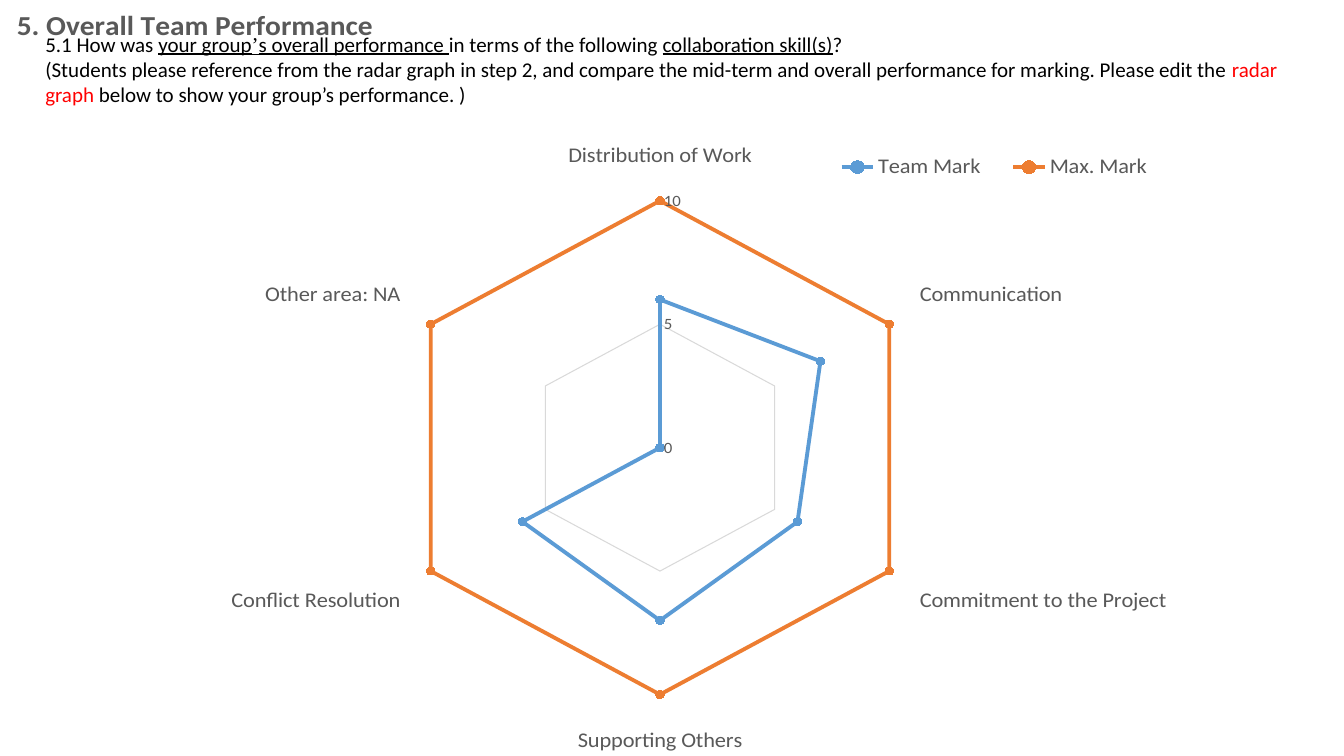
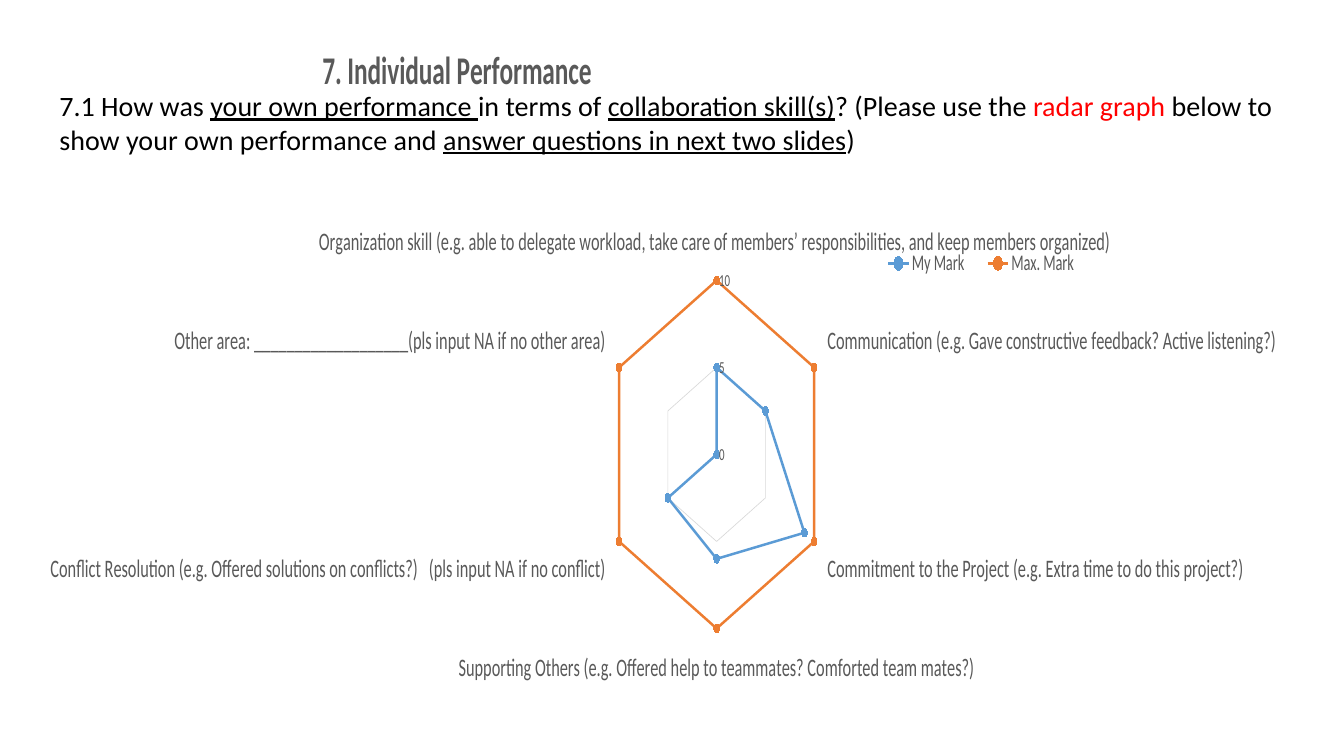
from dataclasses import dataclass

from lxml.etree import SubElement
from pptx import Presentation
from pptx.chart.chart import Chart
from pptx.chart.data import CategoryChartData
from pptx.dml.color import RGBColor
from pptx.enum.chart import XL_CHART_TYPE, XL_LEGEND_POSITION, XL_MARKER_STYLE, XL_TICK_MARK
from pptx.enum.text import MSO_AUTO_SIZE
from pptx.oxml.ns import qn
from pptx.presentation import Presentation as Deck
from pptx.slide import Slide
from pptx.text.text import Font
from pptx.util import Inches, Pt

COLORS = {
    "ink": "000000",
    "alert": "FF0000",
    "label": "595959",
    "grid": "D9D9D9",
    "mark_line": "5B9BD5",
    "mark_point": "559BDB",
    "max_line": "ED7D31",
    "max_point": "F67B28",
}
FONT = "Calibri"
APOSTROPHE_FONT = "Times New Roman"
SLIDE_WIDTH = Inches(13.33)
SLIDE_HEIGHT = Inches(7.5)
SERIES_STYLES = (("mark_line", "mark_point"), ("max_line", "max_point"))
TOP_MARK = 10


@dataclass(frozen=True)
class Area:
    """Percentages of the enclosing slide or chart."""

    left: float
    top: float
    width: float = 0
    height: float = 0

    def on_slide(self) -> tuple[int, int, int, int]:
        return (
            int(SLIDE_WIDTH * self.left / 100),
            int(SLIDE_HEIGHT * self.top / 100),
            int(SLIDE_WIDTH * self.width / 100),
            int(SLIDE_HEIGHT * self.height / 100),
        )


@dataclass(frozen=True)
class Span:
    text: str
    underline: bool = False
    color: str = "ink"
    font: str = FONT


@dataclass(frozen=True)
class Question:
    area: Area
    size: int
    paragraphs: tuple[tuple[Span, ...], ...]


@dataclass(frozen=True)
class Radar:
    area: Area
    title: str
    title_size: int
    title_area: Area
    legend_area: Area
    plot_area: Area
    label_size: int
    mark_name: str
    marks: dict[str, int]


@dataclass(frozen=True)
class Review:
    radar: Radar
    question: Question


REVIEWS = (
    Review(
        Radar(
            area=Area(-0.38, 0, 88.3, 99.6),
            title="5. Overall Team Performance",
            title_size=21,
            title_area=Area(1.4, 0.1),
            legend_area=Area(69.2, 20.3, 30, 7),
            plot_area=Area(32.6, 28.6, 46.9, 70.3),
            label_size=16,
            mark_name="Team Mark",
            marks={
                "Distribution of Work": 6,
                "Communication": 7,
                "Commitment to the Project": 6,
                "Supporting Others": 7,
                "Conflict Resolution": 6,
                "Other area: NA": 0,
            },
        ),
        Question(
            Area(2.63, 3.47, 94.75, 11.47),
            15,
            (
                (
                    Span("5.1 How was "),
                    Span("your group", underline=True),
                    Span("’", underline=True, font=APOSTROPHE_FONT),
                    Span("s overall performance ", underline=True),
                    Span("in terms of the following "),
                    Span("collaboration skill(s)", underline=True),
                    Span("?"),
                ),
                (
                    Span(
                        "(Students please reference from the radar graph in step 2, and compare "
                        "the mid-term and overall performance for marking. Please edit the "
                    ),
                    Span("radar graph", color="alert"),
                    Span(" below to show your group’s performance. )"),
                ),
            ),
        ),
    ),
    Review(
        Radar(
            area=Area(3.75, 3.07, 91.22, 95.73),
            title="7. Individual Performance",
            title_size=28,
            title_area=Area(0, 1.75),
            legend_area=Area(69.6, 29.7, 28.1, 7),
            plot_area=Area(36.1, 35, 28.4, 49.2),
            label_size=18,
            mark_name="My Mark",
            marks={
                "Organization skill (e.g. able to delegate workload, take care of "
                "members’ responsibilities, and keep members organized) ": 5,
                "Communication (e.g. Gave constructive feedback? Active listening?)": 5,
                "Commitment to the Project (e.g. Extra time to do this project?)": 9,
                "Supporting Others (e.g. Offered help to teammates? Comforted team mates?)": 6,
                "Conflict Resolution (e.g. Offered solutions on conflicts?)   "
                "(pls input NA if no conflict)": 5,
                "Other area: ___________________(pls input NA if no other area)": 0,
            },
        ),
        Question(
            Area(3.68, 11.07, 94.52, 10.27),
            20,
            (
                (
                    Span("7.1 How was "),
                    Span("your own performance ", underline=True),
                    Span("in terms of "),
                    Span("collaboration skill(s)", underline=True),
                    Span("? (Please use the "),
                    Span("radar graph ", color="alert"),
                    Span("below to show your own performance and "),
                    Span("answer questions in next two slides", underline=True),
                    Span(")"),
                ),
            ),
        ),
    ),
)


def rgb(name: str) -> RGBColor:
    return RGBColor.from_string(COLORS[name])


def set_font(font: Font, size: int, color: str) -> None:
    font.name = FONT
    font.size = Pt(size)
    font.color.rgb = rgb(color)


def place_part(chart: Chart, part: str, area: Area, after: str | None = None) -> None:
    parent = chart.element.xpath(f".//c:{part}")[0]
    for old in parent.findall(qn("c:layout")):
        parent.remove(old)
    layout = SubElement(parent, qn("c:layout"))
    manual = SubElement(layout, qn("c:manualLayout"))
    values = {"layoutTarget": "inner"} if part == "plotArea" else {}
    values |= {"xMode": "edge", "yMode": "edge", "x": area.left / 100, "y": area.top / 100}
    if area.width:
        values |= {"w": area.width / 100, "h": area.height / 100}
    for tag, value in values.items():
        SubElement(manual, qn(f"c:{tag}")).set("val", str(value))
    if after:
        parent.find(qn(f"c:{after}")).addnext(layout)
    else:
        parent.insert(0, layout)


def style_axes(chart: Chart, label_size: int) -> None:
    categories, values = chart.category_axis, chart.value_axis
    for axis, size in ((categories, label_size), (values, 12)):
        axis.major_tick_mark = XL_TICK_MARK.NONE
        axis.minor_tick_mark = XL_TICK_MARK.NONE
        set_font(axis.tick_labels.font, size, "label")
    categories.has_major_gridlines = False
    categories.format.line.color.rgb = rgb("grid")
    categories.format.line.width = Pt(1)
    values.minimum_scale, values.maximum_scale, values.major_unit = 0, TOP_MARK, TOP_MARK / 2
    values.format.line.fill.background()
    values.has_major_gridlines = True
    values.major_gridlines.format.line.color.rgb = rgb("grid")
    values.major_gridlines.format.line.width = Pt(0.75)


def style_series(chart: Chart) -> None:
    plot = chart.plots[0]
    plot.vary_by_categories = False
    for series, (line_color, point_color) in zip(plot.series, SERIES_STYLES):
        series.format.line.color.rgb = rgb(line_color)
        series.format.line.width = Pt(2.75)
        marker = series.marker
        marker.style = XL_MARKER_STYLE.CIRCLE
        marker.size = 6
        marker.format.fill.solid()
        marker.format.fill.fore_color.rgb = rgb(point_color)
        marker.format.line.color.rgb = rgb(line_color)


def add_radar(page: Slide, radar: Radar) -> None:
    data = CategoryChartData()
    data.categories = list(radar.marks)
    data.add_series(radar.mark_name, list(radar.marks.values()))
    data.add_series("Max. Mark", [TOP_MARK] * len(radar.marks))
    chart = page.shapes.add_chart(XL_CHART_TYPE.RADAR_MARKERS, *radar.area.on_slide(), data).chart
    set_font(chart.font, 10, "ink")

    chart.has_title = True
    frame = chart.chart_title.text_frame
    frame.text = radar.title
    title_font = frame.paragraphs[0].font
    set_font(title_font, radar.title_size, "label")
    title_font.bold = True

    chart.has_legend = True
    chart.legend.position = XL_LEGEND_POSITION.TOP
    chart.legend.include_in_layout = False
    set_font(chart.legend.font, 16, "label")

    style_axes(chart, radar.label_size)
    style_series(chart)
    place_part(chart, "title", radar.title_area, after="tx")
    place_part(chart, "legend", radar.legend_area, after="legendPos")
    place_part(chart, "plotArea", radar.plot_area)


def add_question(page: Slide, question: Question) -> None:
    frame = page.shapes.add_textbox(*question.area.on_slide()).text_frame
    frame.word_wrap = True
    frame.auto_size = MSO_AUTO_SIZE.SHAPE_TO_FIT_TEXT
    for index, spans in enumerate(question.paragraphs):
        para = frame.add_paragraph() if index else frame.paragraphs[0]
        set_font(para.font, question.size, "ink")
        for span in spans:
            run = para.add_run()
            run.text = span.text
            if span.underline:
                run.font.underline = True
            if span.color != "ink":
                run.font.color.rgb = rgb(span.color)
            if span.font != FONT:
                run.font.name = span.font


def add_review(deck: Deck, review: Review) -> None:
    page = deck.slides.add_slide(deck.slide_layouts[6])
    add_radar(page, review.radar)
    add_question(page, review.question)


def main() -> None:
    deck = Presentation()
    deck.slide_width, deck.slide_height = SLIDE_WIDTH, SLIDE_HEIGHT
    for review in REVIEWS:
        add_review(deck, review)
    deck.save("out.pptx")


if __name__ == "__main__":
    main()
